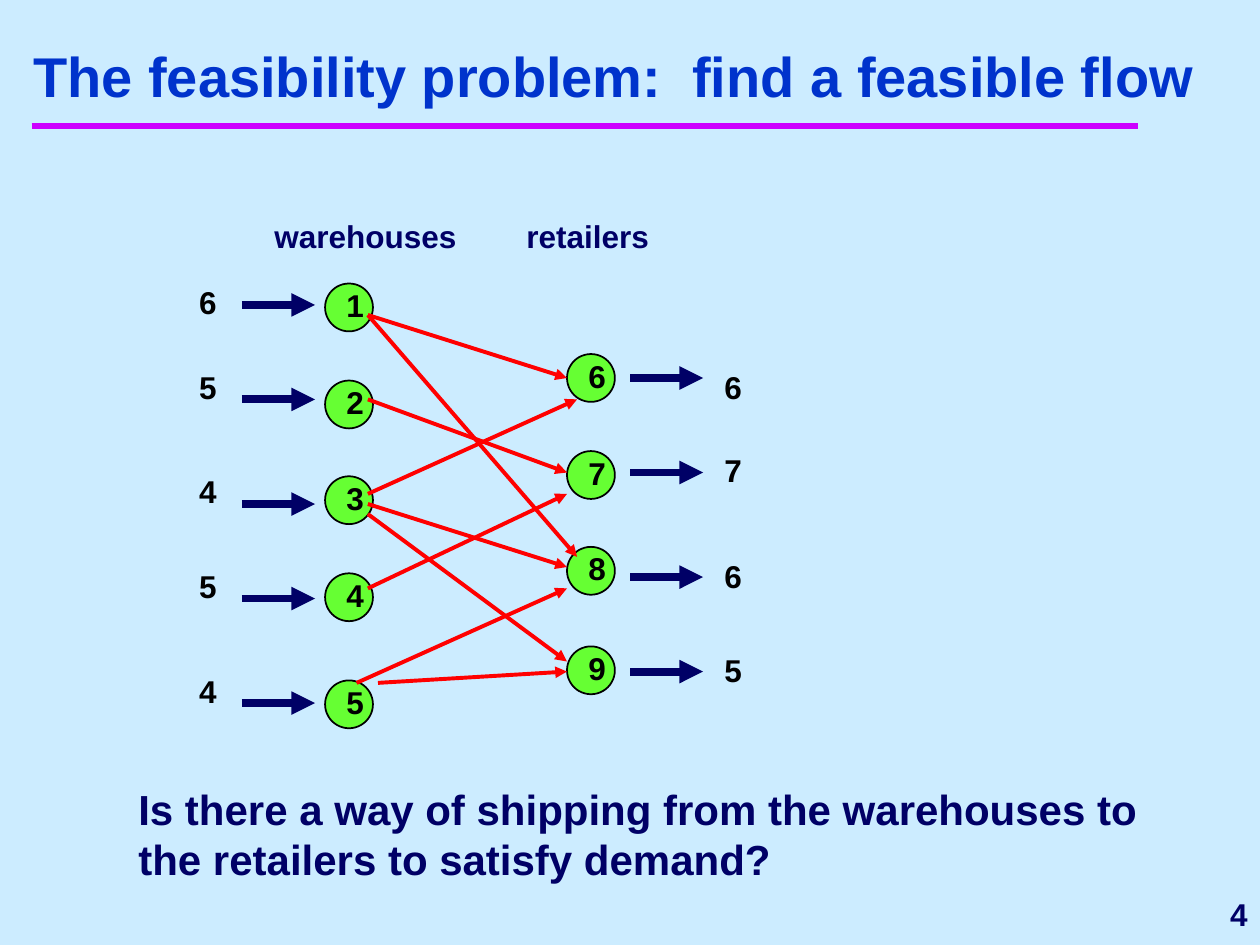
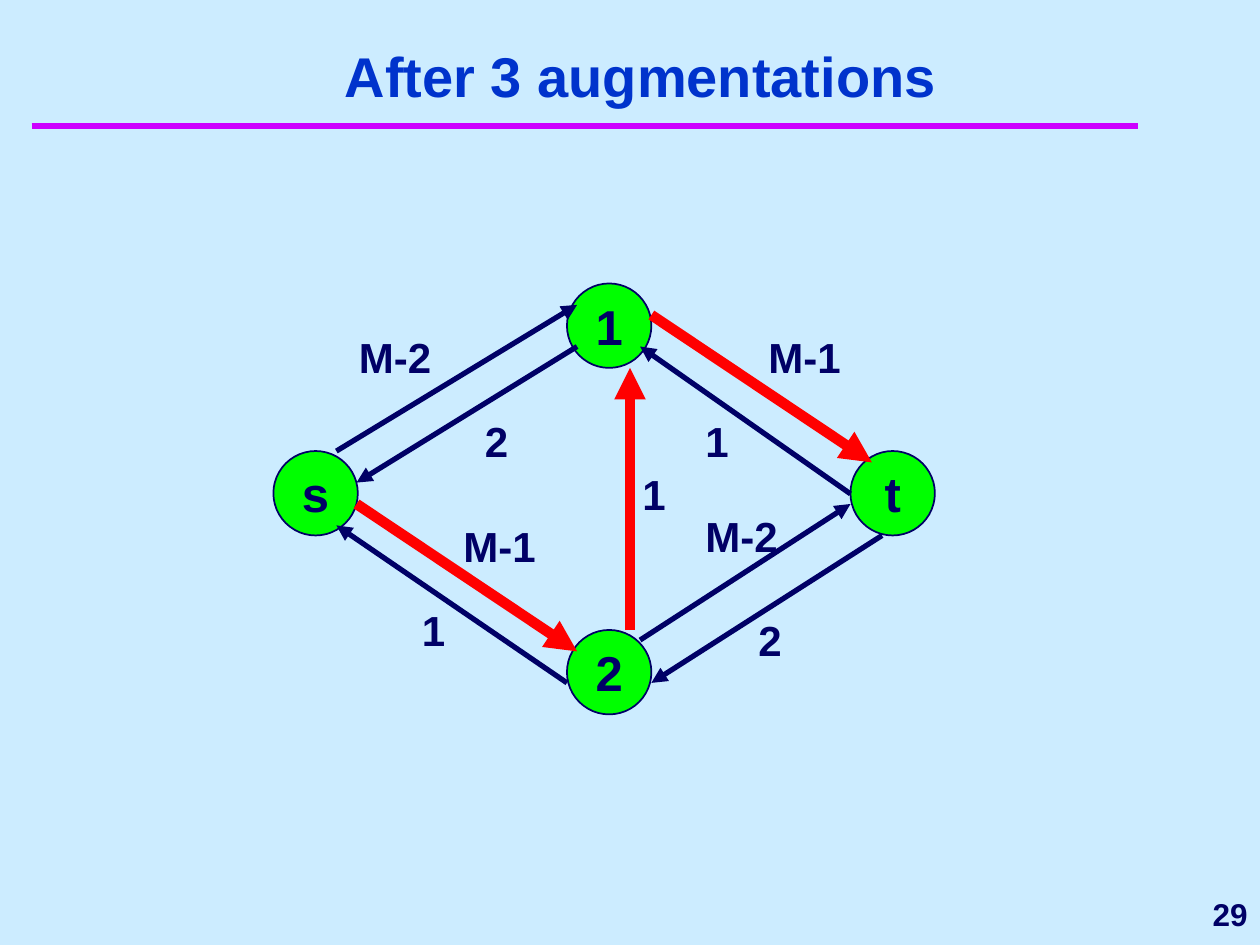
import pptx
import pptx.dml.color
import pptx.enum.shapes
import pptx.enum.text
import pptx.oxml
import pptx.oxml.ns
import pptx.util

Inches = pptx.util.Inches
Pt = pptx.util.Pt
rgb = pptx.dml.color.RGBColor.from_string
ALIGN = pptx.enum.text.PP_ALIGN
ANCHOR = pptx.enum.text.MSO_ANCHOR
OVAL = pptx.enum.shapes.MSO_SHAPE.OVAL
STRAIGHT = pptx.enum.shapes.MSO_CONNECTOR.STRAIGHT

SKY, NAVY, BLUE, MAGENTA = "CCECFF", "000066", "0033CC", "CC00FF"
RED, BLACK, NODE_GREEN, BRIGHT_GREEN = "FF0000", "000000", "66FF33", "00FF00"


def write(shape, text, size, color=NAVY, align=ALIGN.LEFT, anchor=ANCHOR.TOP,
          wrap=True, inset=True):
    """Fill a shape or text box with one bold Arial paragraph."""
    frame = shape.text_frame
    frame.word_wrap = wrap
    frame.vertical_anchor = anchor
    frame.margin_left = frame.margin_right = Inches(0.1 if inset else 0)
    frame.margin_top = frame.margin_bottom = Inches(0.05 if inset else 0)
    paragraph = frame.paragraphs[0]
    paragraph.text = text
    paragraph.alignment = align
    paragraph.font.name = "Arial"
    paragraph.font.size = Pt(size)
    paragraph.font.bold = True
    paragraph.font.color.rgb = rgb(color)


def draw_line(slide, start, end, color, width, arrow=True):
    points = [Inches(value) for value in (*start, *end)]
    line = slide.shapes.add_connector(STRAIGHT, *points)
    line.line.color.rgb = rgb(color)
    line.line.width = Pt(width)
    if arrow:
        head = pptx.oxml.parse_xml(
            '<a:tailEnd %s type="triangle"/>' % pptx.oxml.ns.nsdecls("a"))
        line.line._get_or_add_ln().append(head)
    no_effects = pptx.oxml.parse_xml("<a:effectLst %s/>" % pptx.oxml.ns.nsdecls("a"))
    line._element.spPr.append(no_effects)


deck = pptx.Presentation()
deck.slide_width = Inches(10)
deck.slide_height = Inches(7.5)

# Background, rule, page number and title of both slides
slides = []
for title, title_left, page in [
    ("The feasibility problem:  find a feasible flow", 0, "4"),
    ("After 3 augmentations", 0.42, "29"),
]:
    slide = deck.slides.add_slide(deck.slide_layouts[6])
    slide.background.fill.solid()
    slide.background.fill.fore_color.rgb = rgb(SKY)
    draw_line(slide, (0.25, 1), (9.03, 1), MAGENTA, 4, arrow=False)
    page_box = slide.shapes.add_textbox(Inches(8.08), Inches(7), Inches(1.92), Inches(0.5))
    write(page_box, page, 18, align=ALIGN.RIGHT, anchor=ANCHOR.MIDDLE)
    title_box = slide.shapes.add_textbox(
        Inches(title_left), Inches(0.33), Inches(9.75 - title_left), Inches(0.58))
    write(title_box, title, 32, BLUE, ALIGN.CENTER, ANCHOR.BOTTOM)
    slides.append(slide)
shipping, residual = slides

# Shipping network: headings and question
for text, size, left, top, width, height in [
    ("warehouses", 18, 2.08, 1.67, 1.67, 0.4),
    ("retailers", 18, 4.08, 1.67, 1.67, 0.4),
    ("Is there a way of shipping from the warehouses to the retailers"
     " to satisfy demand?", 24, 1, 6.17, 8.33, 0.9),
]:
    heading = shipping.shapes.add_textbox(
        Inches(left), Inches(top), Inches(width), Inches(height))
    write(heading, text, size)

# Each column: node left, digit left, amount left, arrow left, then its rows
# of node, node top, amount, amount top, arrow height
warehouses = (2.58, 2.75, 1.58, 1.92, [
    ("1", 2.25, "6", 2.25, 2.42),
    ("2", 3.02, "5", 2.92, 3.17),
    ("3", 3.78, "4", 3.75, 4),
    ("4", 4.55, "5", 4.5, 4.75),
    ("5", 5.4, "4", 5.33, 5.58),
])
retailers = (4.5, 4.67, 5.75, 5, [
    ("6", 2.81, "6", 2.92, 3),
    ("7", 3.58, "7", 3.58, 3.75),
    ("8", 4.34, "6", 4.42, 4.58),
    ("9", 5.13, "5", 5.17, 5.33),
])
for node_left, digit_left, amount_left, arrow_left, rows in (warehouses, retailers):
    for node, node_top, amount, amount_top, arrow_y in rows:
        circle = shipping.shapes.add_shape(
            OVAL, Inches(node_left), Inches(node_top), Inches(0.38), Inches(0.38))
        circle.shadow.inherit = False
        circle.fill.solid()
        circle.fill.fore_color.rgb = rgb(NODE_GREEN)
        circle.line.color.rgb = rgb(BLACK)
        circle.line.width = Pt(1)
        for text, left, top in [(node, digit_left, node_top + 0.02),
                                (amount, amount_left, amount_top)]:
            digit = shipping.shapes.add_textbox(
                Inches(left), Inches(top), Inches(0.14), Inches(0.3))
            write(digit, text, 18, BLACK, wrap=False, inset=False)
        draw_line(shipping, (arrow_left, arrow_y), (arrow_left + 0.58, arrow_y), NAVY, 4.5)

for start, end in [
    ((2.92, 2.5), (4.5, 3)),
    ((2.92, 2.5), (4.58, 4.42)),
    ((2.92, 4.08), (4.5, 5.25)),
    ((2.92, 3.17), (4.5, 3.75)),
    ((2.92, 3.92), (4.58, 3.17)),
    ((2.92, 4), (4.5, 4.5)),
    ((2.92, 4.67), (4.5, 3.92)),
    ((3, 5.42), (4.5, 5.33)),
    ((2.83, 5.42), (4.5, 4.67)),
]:
    draw_line(shipping, start, end, RED, 2.25)

# Residual network
for node, left, top in [("s", 2.17, 3.58), ("1", 4.5, 2.25),
                        ("2", 4.5, 5), ("t", 6.75, 3.58)]:
    circle = residual.shapes.add_shape(
        OVAL, Inches(left), Inches(top), Inches(0.67), Inches(0.67))
    circle.shadow.inherit = False
    circle.fill.solid()
    circle.fill.fore_color.rgb = rgb(BRIGHT_GREEN)
    circle.line.color.rgb = rgb(NAVY)
    circle.line.width = Pt(1)
    write(circle, node, 28, align=ALIGN.CENTER, anchor=ANCHOR.MIDDLE, wrap=False)

for capacity, left, top in [
    ("M-2", 2.75, 2.58), ("M-1", 6, 2.58), ("M-2", 5.5, 4), ("M-1", 3.58, 4.08),
    ("1", 5, 3.67), ("2", 3.75, 3.25), ("2", 5.92, 4.83), ("1", 5.5, 3.25),
    ("1", 3.25, 4.75),
]:
    capacity_box = residual.shapes.add_textbox(
        Inches(left), Inches(top), Inches(1 if "M" in capacity else 0.58), Inches(0.5))
    write(capacity_box, capacity, 24)

residual_arcs = [
    ((2.67, 3.58), (4.58, 2.42)),
    ((5.08, 5.08), (6.75, 4)),
    ((7, 4.25), (5.17, 5.42)),
    ((4.58, 2.75), (2.83, 3.83)),
    ((4.5, 5.42), (2.67, 4.17)),
    ((6.75, 3.92), (5.08, 2.75)),
]
augmenting_path = [
    ((2.83, 4), (4.58, 5.17)),
    ((5, 5), (5, 2.92)),
    ((5.17, 2.5), (6.92, 3.67)),
]
for arcs, color, width in [(residual_arcs, NAVY, 3), (augmenting_path, RED, 6)]:
    for start, end in arcs:
        draw_line(residual, start, end, color, width)

deck.save("out.pptx")
